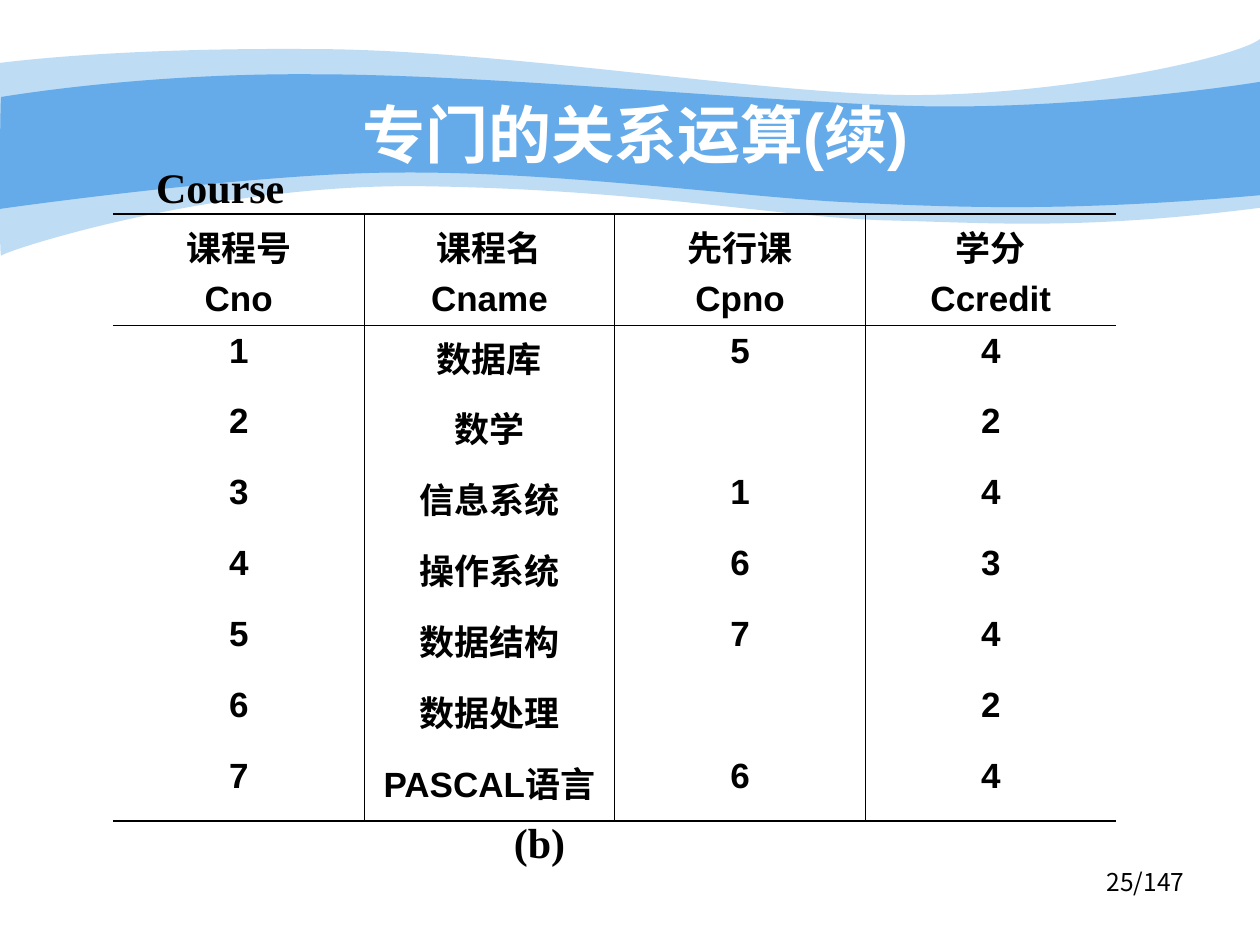
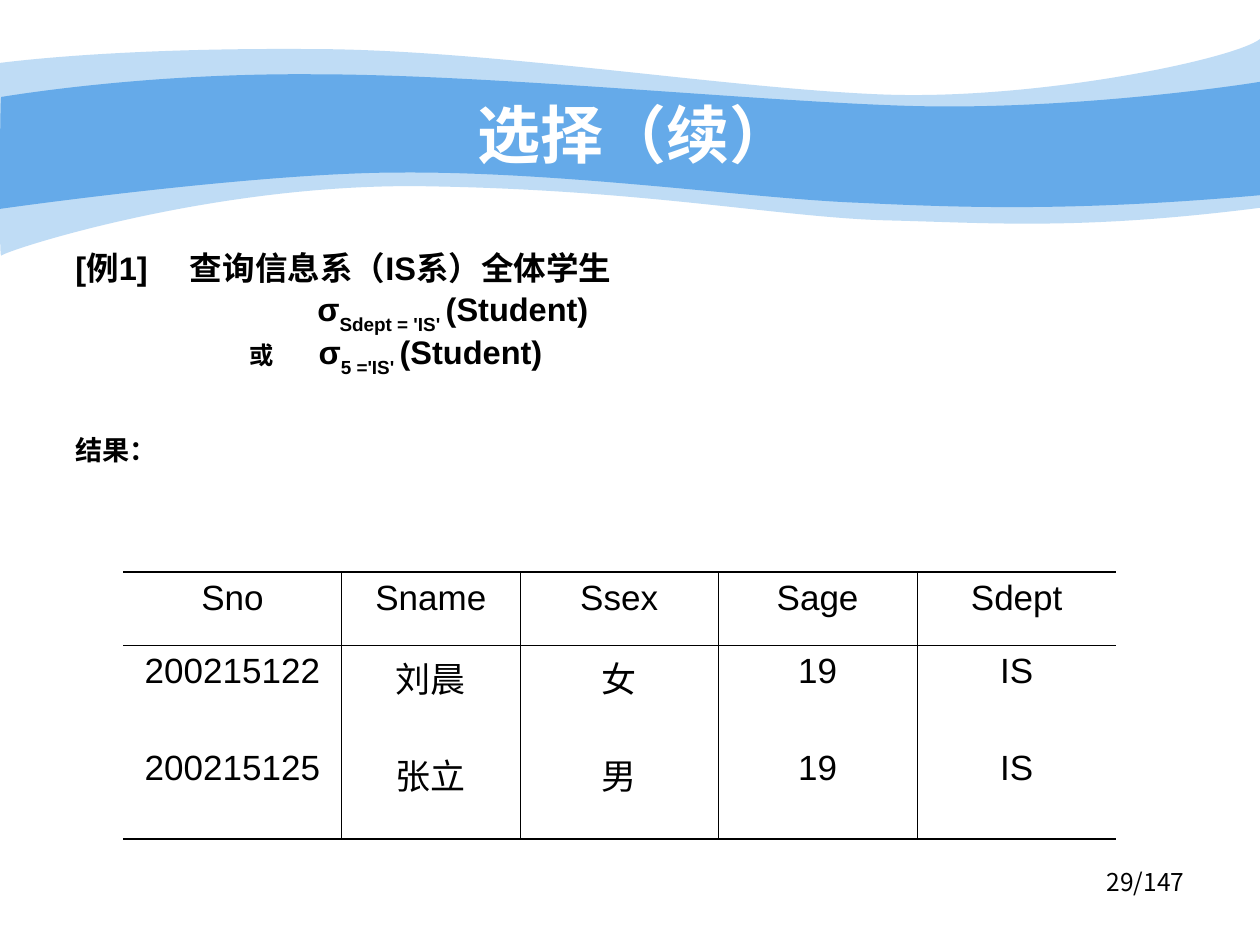
"""Builds two course slides on relational operations: a Course table and a selection example."""
from dataclasses import dataclass

from lxml.etree import SubElement
from pptx import Presentation
from pptx.dml.color import RGBColor
from pptx.enum.text import MSO_ANCHOR, PP_ALIGN
from pptx.oxml import parse_xml
from pptx.oxml.ns import nsdecls, qn
from pptx.util import Inches, Pt


@dataclass(frozen=True)
class Theme:
    wave: RGBColor = RGBColor(0x65, 0xAA, 0xE9)
    white: RGBColor = RGBColor(0xFF, 0xFF, 0xFF)
    ink: RGBColor = RGBColor(0, 0, 0)
    sans: str = "Arial"
    serif: str = "Times New Roman"
    cjk: str = "Noto Sans CJK SC"
    title: float = 36
    caption: float = 24
    cell: float = 20
    formula: float = 18.6
    result: float = 15.5
    small: float = 13.9
    footer: float = 14
    thin: float = 0.45
    thick: float = 1.08


T = Theme()

WAVES = [
    (41, (0, 0.5), [
        [(0.24, 0.47), (1.07, 0.38), (2.47, 0.39)],
        [(3.86, 0.39), (5.75, 0.7), (6.99, 0.75)],
        [(8.22, 0.8), (9.8, 0.47), (10, 0.31)],
        [(10, 1.65)],
        [(8.58, 1.83), (7.87, 1.77), (7.05, 1.75)],
        [(6.22, 1.73), (5.15, 1.51), (3.43, 1.48)],
        [(1.72, 1.44), (0.04, 1.99), (0.01, 2.03)],
        [(-0.01, 2.08), (0, 0.75), (0, 0.5)]]),
    (100, (0.01, 0.77), [
        [(0.02, 0.77), (1.1, 0.58), (2.48, 0.59)],
        [(3.86, 0.59), (5.95, 0.8), (7.18, 0.84)],
        [(8.41, 0.88), (9.76, 0.69), (10, 0.65)],
        [(10, 1.55)],
        [(8.53, 1.68), (7.65, 1.65), (6.82, 1.61)],
        [(5.99, 1.58), (4.47, 1.36), (3.17, 1.37)],
        [(2.03, 1.37), (-0.02, 1.66), (-0.01, 1.66)],
        [(0, 1.66), (0, 0.77), (0.01, 0.77)]]),
]


def add_text(s, at, text, size, font, color=T.ink, bold=False, align=PP_ALIGN.LEFT,
             anchor=MSO_ANCHOR.TOP, wrap=True):
    tf = s.shapes.add_textbox(*map(Inches, at)).text_frame
    tf.word_wrap = wrap
    tf.vertical_anchor = anchor
    p = tf.paragraphs[0]
    p.text = text
    p.alignment = align
    p.font.size, p.font.name, p.font.bold = Pt(size), font, bold
    p.font.color.rgb = color


def add_grid(s, left, top, widths, heights, rows, bold):
    nr, nc = len(heights), len(widths)
    tbl = s.shapes.add_table(nr, nc, Inches(left), Inches(top), Inches(sum(widths)),
                             Inches(sum(heights))).table
    tbl.first_row = tbl.horz_banding = False
    for col, w in zip(tbl.columns, widths):
        col.width = Inches(w)
    for row, h in zip(tbl.rows, heights):
        row.height = Inches(h)
    for i, row in enumerate(rows):
        for j, text in enumerate(row):
            cell = tbl.cell(i, j)
            cell.text = text
            cell.fill.background()
            for k, p in enumerate(cell.text_frame.paragraphs):
                p.alignment = PP_ALIGN.CENTER
                if k:
                    p.space_before = Pt(5)
                p.font.size, p.font.name, p.font.bold = Pt(T.cell), T.sans, bold
                p.font.color.rgb = T.ink
            edges = {"lnL": T.thin if j else 0,
                     "lnR": T.thin if j < nc - 1 else 0,
                     "lnT": {0: T.thick, 1: T.thin}.get(i, 0),
                     "lnB": {0: T.thin, nr - 1: T.thick}.get(i, 0)}
            for k, (tag, width) in enumerate(edges.items()):
                paint = f'<a:solidFill><a:srgbClr val="{T.ink}"/></a:solidFill>' if width else "<a:noFill/>"
                ln = parse_xml(f'<a:{tag} {nsdecls("a")} w="{Pt(width)}">{paint}</a:{tag}>')
                cell._tc.get_or_add_tcPr().insert(k, ln)


prs = Presentation()
prs.slide_width, prs.slide_height = Inches(10), Inches(7.5)
slides = []
for title, page in [("专门的关系运算(续)", "25/147"), ("选择（续）", "29/147")]:
    s = prs.slides.add_slide(prs.slide_layouts[6])
    slides.append(s)
    for alpha, start, segments in WAVES:
        fb = s.shapes.build_freeform(*map(Inches, start))
        fb.add_line_segments([(Inches(x), Inches(y)) for seg in segments for x, y in seg], close=True)
        sp = fb.convert_to_shape()
        steps = iter(sp._element.findall(".//" + qn("a:lnTo")))
        for seg in segments:
            first = next(steps)
            if len(seg) == 3:
                first.tag = qn("a:cubicBezTo")
                for _ in seg[1:]:
                    step = next(steps)
                    first.append(step[0])
                    step.getparent().remove(step)
        sp.shadow.inherit = False
        sp.line.fill.background()
        sp.fill.solid()
        sp.fill.fore_color.rgb = T.wave
        if alpha < 100:
            clr = sp._element.spPr.find(".//" + qn("a:srgbClr"))
            SubElement(clr, qn("a:alpha"), val=str(alpha * 1000))
    add_text(s, (7.17, 6.83, 2.33, 0.52), page, T.footer, T.cjk, align=PP_ALIGN.RIGHT)
    add_text(s, (1, 0.75, 8.08, 0.62), title, T.title, T.sans, T.white, True,
             PP_ALIGN.CENTER, MSO_ANCHOR.MIDDLE)

course, selection = slides
add_grid(course, 0.9, 1.7, [1.99] * 4, [0.88] + [3.94 / 7] * 7, [
    ["课程号\nCno", "课程名\nCname", "先行课\nCpno", "学分\nCcredit"],
    ["1", "数据库", "5", "4"],
    ["2", "数学", "", "2"],
    ["3", "信息系统", "1", "4"],
    ["4", "操作系统", "6", "3"],
    ["5", "数据结构", "7", "4"],
    ["6", "数据处理", "", "2"],
    ["7", "PASCAL语言", "6", "4"]], True)
for text, at in [("Course", (1.14, 1.23, 1.22, 0.5)), ("(b)", (3.98, 6.43, 0.61, 0.5))]:
    add_text(course, at, text, T.caption, T.serif, bold=True, wrap=False)

tf = selection.shapes.add_textbox(Inches(0.5), Inches(2), Inches(8.04), Inches(1.83)).text_frame
tf.word_wrap = True
BODY = [
    (0, [0.91], T.formula, [("[例1]\t查询信息系（IS系）全体学生", None, 0)]),
    (6, [1.92], T.formula, [("\tσ", None, 0), ("Sdept = 'IS' ", None, -30), ("(Student)", None, 0)]),
    (6, [1.38, 1.93], T.formula, [("\t或", T.small, 0), ("\tσ", None, 0), ("5 ='IS' ", None, -30),
                                  ("(Student)", None, 0)]),
    (41, [], T.result, [("结果：", None, 0)]),
]
for i, (before, tabs, size, runs) in enumerate(BODY):
    p = tf.add_paragraph() if i else tf.paragraphs[0]
    p.line_spacing = 0.7
    if before:
        p.space_before = Pt(before)
    if tabs:
        tab_list = SubElement(p._p.get_or_add_pPr(), qn("a:tabLst"))
        for pos in tabs:
            SubElement(tab_list, qn("a:tab"), pos=str(Inches(pos)), algn="l")
    p.font.size, p.font.name, p.font.bold = Pt(size), T.sans, True
    p.font.color.rgb = T.ink
    for text, run_size, base in runs:
        r = p.add_run()
        r.text = text
        if run_size:
            r.font.size = Pt(run_size)
        if base:
            r.font._element.set("baseline", str(base * 1000))

add_grid(selection, 0.98, 4.54, [1.73, 1.42, 1.57, 1.58, 1.58], [0.58, 0.77, 0.77], [
    ["Sno", "Sname", "Ssex", "Sage", "Sdept"],
    ["200215122", "刘晨", "女", "19", "IS"],
    ["200215125", "张立", "男", "19", "IS"]], False)

prs.save("out.pptx")
